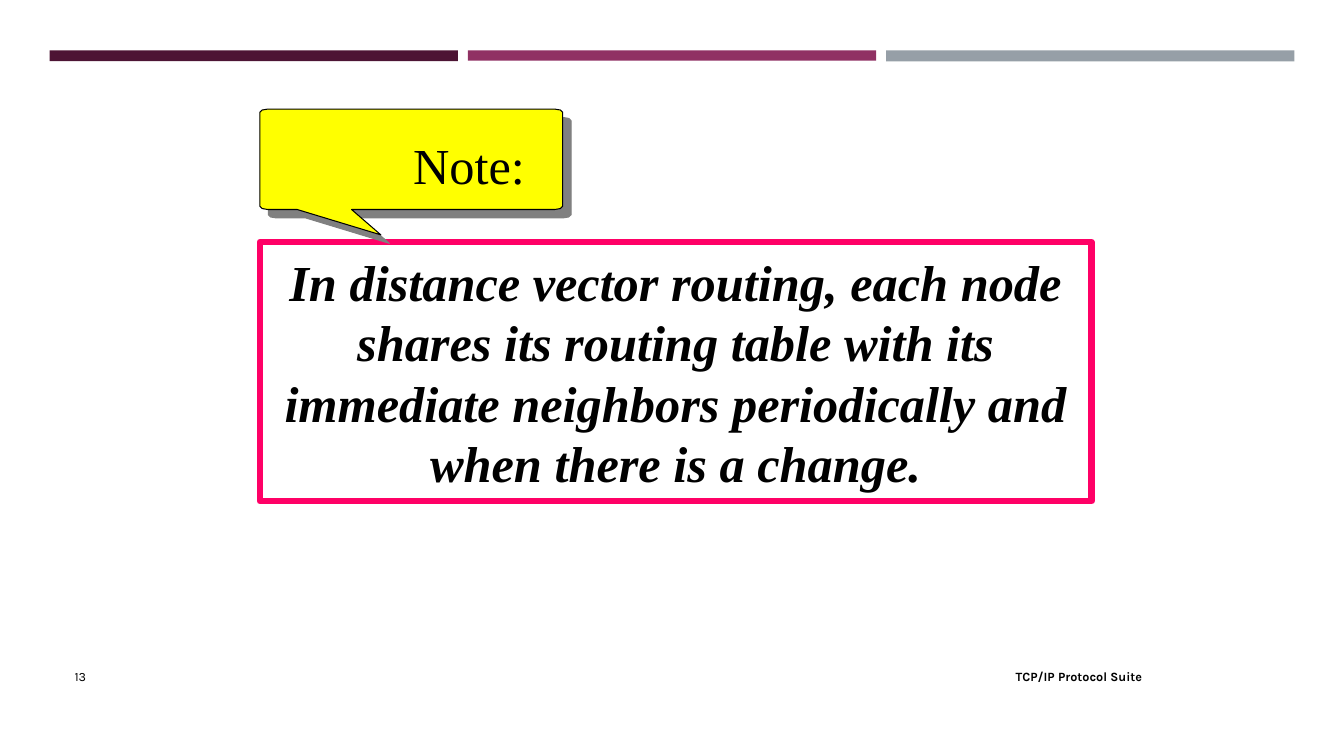
"""Builds the note slide on distance vector routing."""
from lxml.etree import SubElement
from pptx import Presentation
from pptx.dml.color import RGBColor
from pptx.enum.shapes import MSO_SHAPE
from pptx.enum.text import MSO_ANCHOR, PP_ALIGN
from pptx.oxml.ns import qn
from pptx.util import Cm, Pt

PLUM = RGBColor(0x4D, 0x14, 0x34)
BERRY = RGBColor(0x90, 0x31, 0x63)
GREY = RGBColor(0x96, 0x9F, 0xA7)
PINK = RGBColor(0xFF, 0x00, 0x66)
YELLOW = RGBColor(0xFF, 0xFF, 0x00)
WHITE = RGBColor(0xFF, 0xFF, 0xFF)
BLACK = RGBColor(0x00, 0x00, 0x00)
SHADOW = "808080"

BARS = [(PLUM, 0.27), (BERRY, 0.26), (GREY, 0.28)]
BAR_LEFT, BAR_TOP, BAR_WIDTH, BAR_STEP = 1.25, 1.27, 10.29, 10.54

STATEMENT = ("In distance vector routing, each node shares its routing table with its "
             "immediate neighbors periodically and when there is a change.")
STATEMENT_BOX = (6.55, 6.1, 20.96, 6.53)
NOTE_BOX = (10.16, 3.26, 3.33, 1.78)
FOOTERS = [
    ("TCP/IP Protocol Suite", (21.13, 16.54, 7.9, 1.02), PP_ALIGN.RIGHT, True),
    ("13", (1.63, 16.54, 19.2, 1.02), PP_ALIGN.LEFT, False),
]

CALLOUT = (6.55, 2.75, 14.18, 5.28)
CORNER_X, CORNER_Y = 0.2, 0.08
POINTER = [(7.49, 5.28), (9.6, 5.92), (8.86, 5.28)]


def write(s, text, size, font, align, bold=False, italic=False, leading=None):
    tf = s.text_frame
    tf.text = text
    tf.vertical_anchor = MSO_ANCHOR.MIDDLE
    p = tf.paragraphs[0]
    p.alignment = align
    if leading:
        p.line_spacing = Pt(leading)
    r = p.runs[0]
    r.font.size, r.font.name = Pt(size), font
    r.font.bold, r.font.italic = bold, italic
    r.font.color.rgb = BLACK


def add_rect(sp, box, color):
    s = sp.add_shape(MSO_SHAPE.RECTANGLE, *map(Cm, box))
    s.shadow.inherit = False
    s.fill.solid()
    s.fill.fore_color.rgb = color
    s.line.fill.background()
    return s


def callout_points():
    left, top, right, bottom = CALLOUT
    corners = [(left, top, 1, 1), (left, bottom, 1, -1),
               (right, bottom, -1, -1), (right, top, -1, 1)]
    points = []
    for i, (x, y, dx, dy) in enumerate(corners):
        arc = [(x + dx * CORNER_X * a, y + dy * CORNER_Y * b)
               for a, b in ((1, 0), (0.29, 0.29), (0, 1))]
        points += arc[::-1] if i % 2 else arc
        if i == 1:
            points += POINTER
    return [(Cm(x), Cm(y)) for x, y in points]


def add_callout(sp):
    points = callout_points()
    builder = sp.build_freeform(*points[0])
    builder.add_line_segments(points[1:], close=True)
    s = builder.convert_to_shape()
    s.fill.solid()
    s.fill.fore_color.rgb = YELLOW
    s.line.color.rgb = BLACK
    s.line.width = Pt(0.75)
    s.shadow.inherit = False
    effects = s.element.spPr.find(qn("a:effectLst"))
    shadow = SubElement(effects, qn("a:outerShdw"), dist=str(Pt(8.5)),
                        dir="2700000", algn="ctr", rotWithShape="0")
    SubElement(shadow, qn("a:srgbClr"), val=SHADOW)


def main():
    prs = Presentation()
    prs.slide_width, prs.slide_height = Cm(33.87), Cm(19.05)
    sp = prs.slides.add_slide(prs.slide_layouts[6]).shapes

    for i, (color, height) in enumerate(BARS):
        add_rect(sp, (BAR_LEFT + i * BAR_STEP, BAR_TOP, BAR_WIDTH, height), color)

    for text, box, align, bold in FOOTERS:
        s = sp.add_textbox(*map(Cm, box))
        s.text_frame.word_wrap = True
        write(s, text, 9, "Karla", align, bold)

    s = add_rect(sp, STATEMENT_BOX, WHITE)
    s.line.color.rgb = PINK
    s.line.width = Pt(4.5)
    s.text_frame.word_wrap = True
    write(s, STATEMENT, 36, "Times New Roman", PP_ALIGN.CENTER, True, True, 43.2)

    add_callout(sp)
    s = sp.add_textbox(*map(Cm, NOTE_BOX))
    s.text_frame.word_wrap = False
    write(s, "Note:", 36, "Times New Roman", PP_ALIGN.LEFT, leading=43.2)

    prs.save("out.pptx")


if __name__ == "__main__":
    main()
